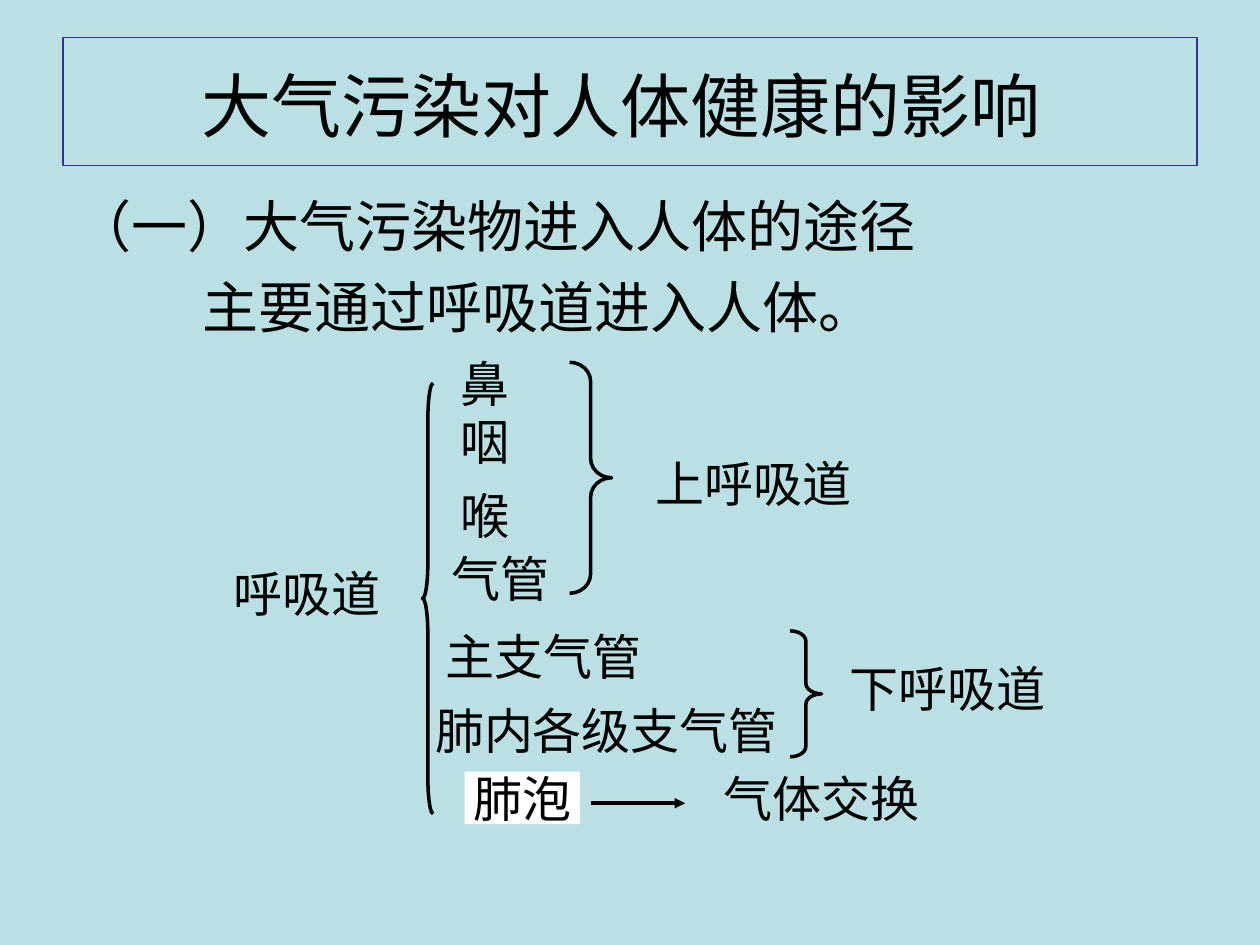
from dataclasses import dataclass

from pptx import Presentation
from pptx import util as u
from pptx.dml.color import RGBColor
from pptx.enum import shapes, text
from pptx.oxml import parse_xml
from pptx.oxml.ns import nsdecls, qn

CJK_FONT = "Noto Sans CJK SC"
LABEL_FONT = "Times New Roman"
BLACK = "000000"


@dataclass
class Box:
    left: float
    top: float
    width: float
    height: float

    def lengths(self) -> list[u.Length]:
        return [u.Pt(n) for n in (self.left, self.top, self.width, self.height)]


@dataclass
class Label:
    wording: str
    box: Box
    fill: str | None = None


@dataclass
class Brace:
    kind: shapes.MSO_SHAPE
    box: Box
    curve: float


LABELS = [
    Label("呼吸道", Box(127.5, 321, 96, 36)),
    Label("鼻", Box(259, 201, 36, 36)),
    Label("咽", Box(259, 237, 36, 30)),
    Label("喉", Box(259, 279, 36, 30)),
    Label("气管", Box(256, 315, 60, 30)),
    Label("主支气管", Box(252, 357, 117, 36)),
    Label("肺内各级支气管", Box(246.5, 405, 200, 24)),
    Label("上呼吸道", Box(367.5, 255, 126, 42)),
    Label("下呼吸道", Box(475.5, 375, 132, 36)),
    Label("肺泡", Box(265.5, 441, 66, 30), "FFFFFF"),
    Label("气体交换", Box(411, 441, 117, 30)),
]

BRACES = [
    Brace(shapes.MSO_SHAPE.LEFT_BRACE, Box(241.5, 219, 6, 246), 3.42),
    Brace(shapes.MSO_SHAPE.RIGHT_BRACE, Box(325.5, 207, 24, 132), 0.46),
    Brace(shapes.MSO_SHAPE.RIGHT_BRACE, Box(451.5, 360.5, 18, 72), 0.33),
]


def colour(hex_value: str) -> RGBColor:
    return RGBColor.from_string(hex_value)


def add_run(paragraph, wording: str, size: float, font_name: str) -> None:
    run = paragraph.add_run()
    run.text = wording
    run.font.size = u.Pt(size)
    run.font.name = font_name
    run.font.color.rgb = colour(BLACK)
    east_asian = parse_xml(f'<a:ea {nsdecls("a")} typeface="{CJK_FONT}"/>')
    run.font._element.find(qn("a:latin")).addnext(east_asian)


def add_box(slide, box: Box, wrap: bool, anchor=text.MSO_ANCHOR.MIDDLE):
    shape = slide.shapes.add_textbox(*box.lengths())
    shape.text_frame.word_wrap = wrap
    shape.text_frame.vertical_anchor = anchor
    return shape


def add_title(slide, wording: str) -> None:
    shape = add_box(slide, Box(36, 21.5, 648, 73), True)
    shape.line.color.rgb = colour("333399")
    shape.line.width = u.Pt(0.75)
    shape.text_frame.margin_top = u.Pt(7)
    shape.text_frame.margin_right = u.Pt(17.5)
    paragraph = shape.text_frame.paragraphs[0]
    paragraph.alignment = text.PP_ALIGN.CENTER
    add_run(paragraph, wording, 40, CJK_FONT)


def add_body(slide, heading: str, statement: str) -> None:
    frame = add_box(slide, Box(36, 106, 648, 356), True, text.MSO_ANCHOR.TOP).text_frame
    first, second = frame.paragraphs[0], frame.add_paragraph()
    second.space_before = u.Pt(8)
    second._p.get_or_add_pPr().set("marL", str(u.Pt(72.5)))
    for paragraph, wording in ((first, heading), (second, statement)):
        add_run(paragraph, wording, 32, CJK_FONT)


def add_label(slide, label: Label) -> None:
    shape = add_box(slide, label.box, False)
    shape.text_frame.margin_left = shape.text_frame.margin_right = 0
    if label.fill:
        shape.fill.solid()
        shape.fill.fore_color.rgb = colour(label.fill)
    paragraph = shape.text_frame.paragraphs[0]
    paragraph.alignment = text.PP_ALIGN.CENTER
    add_run(paragraph, label.wording, 28, LABEL_FONT)


def style_line(shape) -> None:
    shape.line.color.rgb = colour(BLACK)
    shape.line.width = u.Pt(2)


def add_brace(slide, brace: Brace) -> None:
    shape = slide.shapes.add_shape(brace.kind, *brace.box.lengths())
    shape.shadow.inherit = False
    shape.fill.background()
    shape.adjustments[0] = brace.curve
    style_line(shape)


def add_arrow(slide, left: float, right: float, y: float) -> None:
    arrow = slide.shapes.add_connector(
        shapes.MSO_CONNECTOR.STRAIGHT, u.Pt(left), u.Pt(y), u.Pt(right), u.Pt(y))
    style_line(arrow)
    arrow.line._get_or_add_ln().append(
        parse_xml(f'<a:tailEnd {nsdecls("a")} type="triangle"/>'))
    arrow._element.spPr.append(parse_xml(f'<a:effectLst {nsdecls("a")}/>'))


def main() -> None:
    presentation = Presentation()
    presentation.slide_width = u.Pt(720)
    presentation.slide_height = u.Pt(540)
    slide = presentation.slides.add_slide(presentation.slide_layouts[6])
    slide.background.fill.solid()
    slide.background.fill.fore_color.rgb = colour("BBE0E3")

    # Heading and statement
    add_title(slide, "大气污染对人体健康的影响")
    add_body(slide, "（一）大气污染物进入人体的途径", "主要通过呼吸道进入人体。")

    # Airway tree
    for brace in BRACES:
        add_brace(slide, brace)
    for label in LABELS:
        add_label(slide, label)
    add_arrow(slide, 337.5, 391.5, 459)

    presentation.save("out.pptx")


if __name__ == "__main__":
    main()
